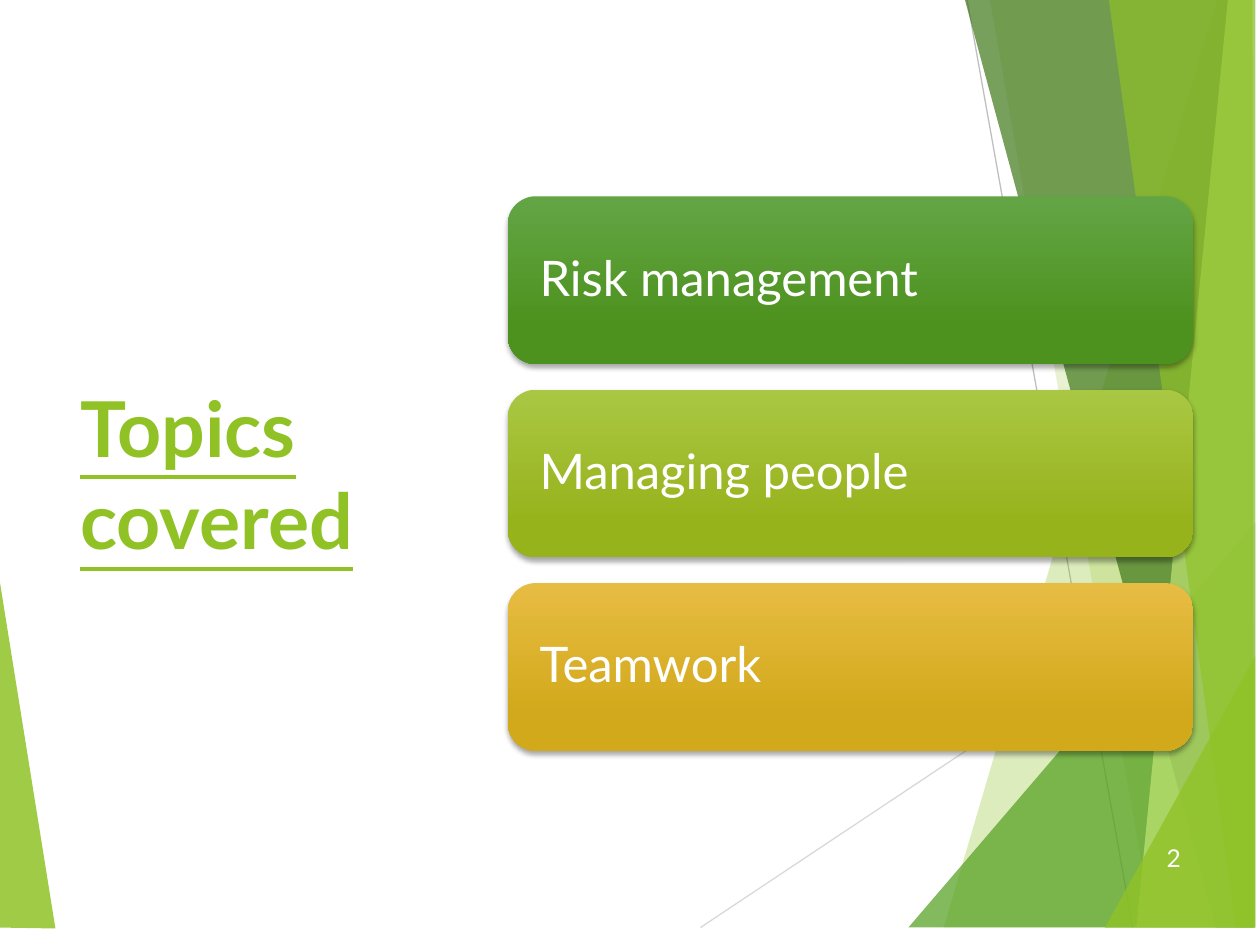
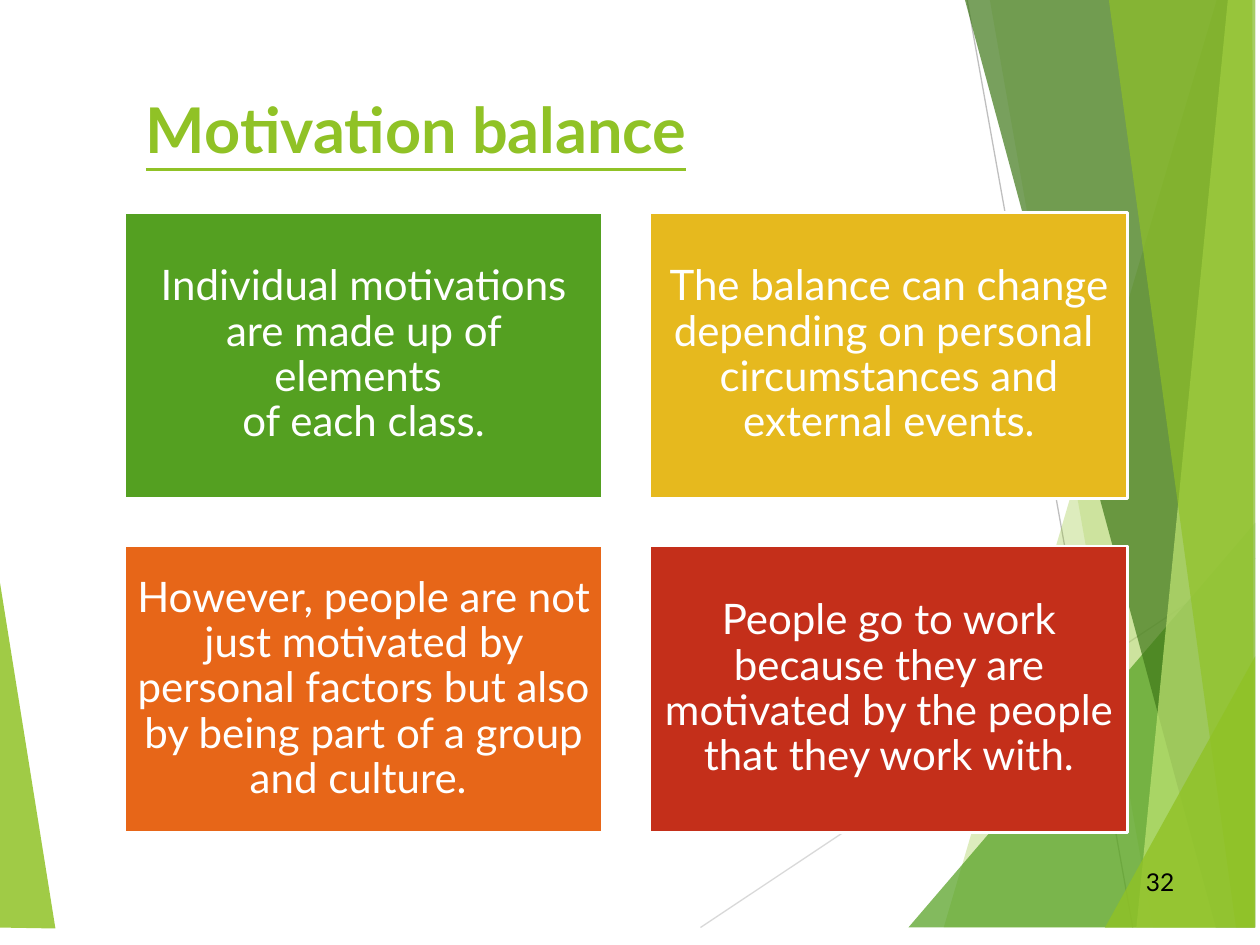
"""Build two slides on managing people: the topics covered and the motivation balance."""
from dataclasses import dataclass

from lxml import etree
from pptx import Presentation, util as u
from pptx.dml.color import RGBColor
from pptx.enum import shapes, text
from pptx.oxml import ns


@dataclass(frozen=True)
class Theme:
    font: str = "Lato"
    lime: str = "90C226"
    green: str = "54A021"
    forest: str = "3F7819"
    pale: str = "C0E474"
    gold: str = "E6B91E"
    orange: str = "E76618"
    red: str = "C42F1A"
    white: str = "FFFFFF"
    black: str = "000000"
    light_ray: str = "D9D9D9"
    dark_ray: str = "BFBFBF"
    topic_gradients: tuple = (("63A545", "4D921E"), ("AAC744", "97B31C"), ("E7BC43", "D2A91B"))
    cover_title_size: int = 44
    title_size: int = 36
    topic_size: int = 28
    card_size: int = 24
    number_size: int = 14


THEME = Theme()
TOP, BOTTOM, RIGHT = -10.5, 530, 717.2

LEFT_FACET = (THEME.lime, 85, [(-4.3, 306), (31.7, 530.6), (-4.3, BOTTOM)])
RAYS = [
    (THEME.light_ray, (400.3, BOTTOM), (RIGHT, 319)),
    (THEME.dark_ray, (550.8, TOP), (647.3, BOTTOM)),
]
RIGHT_FACETS = [
    (THEME.lime, 30, [(698.4, TOP), (539.3, BOTTOM), (RIGHT, BOTTOM), (RIGHT, TOP)]),
    (THEME.lime, 20, [(563.8, TOP), (658.8, BOTTOM), (RIGHT, BOTTOM), (RIGHT, TOP)]),
    (THEME.green, 72, [(519.1, BOTTOM), (RIGHT, 298.8), (RIGHT, BOTTOM)]),
    (THEME.forest, 70, [(548.6, TOP), (694.8, BOTTOM), (RIGHT, BOTTOM), (RIGHT, TOP)]),
    (THEME.pale, 70, [(702.7, TOP), (649.4, BOTTOM), (RIGHT, BOTTOM), (RIGHT, TOP)]),
    (THEME.lime, 65, [(632.2, TOP), (706.3, BOTTOM), (716.4, BOTTOM), (715.7, TOP)]),
    (THEME.lime, 80, [(631.4, BOTTOM), (RIGHT, 375.1), (RIGHT, BOTTOM)]),
]
TOPICS = ["Risk management", "Managing people", "Teamwork"]
MOTIVATIONS = [
    (THEME.green, "Individual motivations are made up of elements \vof each class."),
    (THEME.gold, "The balance can change depending on personal \vcircumstances and external events."),
    (THEME.orange, "However, people are not just motivated by personal factors "
                   "but also by being part of a group and culture. "),
    (THEME.red, "People go to work because they are motivated by the people that they work with."),
]


def rgb(code):
    """Turn a hex code into a colour."""
    return RGBColor.from_string(code)


def points(*lengths):
    """Turn numbers into lengths in points."""
    return [u.Pt(length) for length in lengths]


def add_facet(slide, color, opacity, corners):
    """Draw one translucent polygon of the backdrop."""
    start, *others = [points(*corner) for corner in corners]
    builder = slide.shapes.build_freeform(*start)
    builder.add_line_segments(others, close=True)
    facet = builder.convert_to_shape()
    facet.shadow.inherit = False
    facet.fill.solid()
    facet.fill.fore_color.rgb = rgb(color)
    facet.line.fill.background()
    tint = facet._element.spPr.find(".//" + ns.qn("a:srgbClr"))
    etree.SubElement(tint, ns.qn("a:alpha"), val=str(opacity * 1000))


def add_ray(slide, color, start, end):
    """Draw one thin line of the backdrop."""
    ray = slide.shapes.add_connector(
        shapes.MSO_CONNECTOR.STRAIGHT, *points(*start), *points(*end))
    ray.line.color.rgb = rgb(color)
    ray.line.width = u.Pt(0.75)
    etree.SubElement(ray._element.spPr, ns.qn("a:effectLst"))


def add_backdrop(slide):
    """Draw the facets and rays that every slide shares."""
    add_facet(slide, *LEFT_FACET)
    for ray in RAYS:
        add_ray(slide, *ray)
    for facet in RIGHT_FACETS:
        add_facet(slide, *facet)


def write(shape, words, size, color=THEME.white, align=text.PP_ALIGN.LEFT,
          anchor=text.MSO_ANCHOR.MIDDLE, insets=(7.2, 3.6), spacing=1.0, heading=False):
    """Put wrapped, formatted words into a shape."""
    frame = shape.text_frame
    frame.word_wrap = True
    frame.vertical_anchor = anchor
    frame.margin_left = frame.margin_right = u.Pt(insets[0])
    frame.margin_top = frame.margin_bottom = u.Pt(insets[1])
    paragraph = frame.paragraphs[0]
    paragraph.text = words
    paragraph.alignment = align
    paragraph.line_spacing = spacing
    for run in paragraph.runs:
        run.font.name = THEME.font
        run.font.size = u.Pt(size)
        run.font.color.rgb = rgb(color)
        run.font.bold = run.font.underline = heading


def add_title(slide, words, box, size, anchor):
    """Add the underlined lime title."""
    title = slide.shapes.add_textbox(*points(*box))
    write(title, words, size, THEME.lime, anchor=anchor, heading=True)


def add_number(slide, number, left, top, color):
    """Add the slide number at the lower right."""
    label = slide.shapes.add_textbox(*points(left, top, 40.3, 28.8))
    write(label, number, THEME.number_size, color, text.PP_ALIGN.RIGHT)


def add_topic(slide, words, box, gradient):
    """Add a rounded gradient bar with a soft shadow."""
    bar = slide.shapes.add_shape(shapes.MSO_SHAPE.ROUNDED_RECTANGLE, *points(*box))
    bar.fill.gradient()
    bar.fill.gradient_angle = 270
    for stop, color, position in zip(bar.fill.gradient_stops, gradient, (0, 0.78)):
        stop.color.rgb = rgb(color)
        stop.position = position
    bar.line.fill.background()
    bar.shadow.inherit = False
    effects = bar._element.spPr.find(ns.qn("a:effectLst"))
    shadow = etree.SubElement(effects, ns.qn("a:outerShdw"), blurRad=str(u.Pt(3)),
                              dist=str(u.Pt(2)), dir="5400000", rotWithShape="0")
    shade = etree.SubElement(shadow, ns.qn("a:srgbClr"), val=THEME.black)
    etree.SubElement(shade, ns.qn("a:alpha"), val="35000")
    write(bar, words, THEME.topic_size, insets=(13.5, 13.5), spacing=0.9)


def add_card(slide, words, box, color):
    """Add a flat card with centred words."""
    card = slide.shapes.add_shape(shapes.MSO_SHAPE.RECTANGLE, *points(*box))
    card.shadow.inherit = False
    card.fill.solid()
    card.fill.fore_color.rgb = rgb(color)
    card.line.color.rgb = rgb(THEME.white)
    card.line.width = u.Pt(1.5)
    write(card, words, THEME.card_size, align=text.PP_ALIGN.CENTER,
          insets=(7.2, 7.2), spacing=0.9)


def add_slide(deck):
    """Add a blank slide with the shared backdrop."""
    slide = deck.slides.add_slide(deck.slide_layouts[6])
    add_backdrop(slide)
    return slide


def build_topics(deck):
    """Build the slide that lists the topics."""
    slide = add_slide(deck)
    add_title(slide, "Topics covered", (38.9, 108.7, 209.5, 322.6),
              THEME.cover_title_size, text.MSO_ANCHOR.MIDDLE)
    add_number(slide, "2", 641.5, 475.9, THEME.white)
    for row, (topic, gradient) in enumerate(zip(TOPICS, THEME.topic_gradients)):
        add_topic(slide, topic, (290.2, 112.2 + row * 110.5, 391.7, 95.8), gradient)


def build_motivation(deck):
    """Build the slide with the two-by-two grid of cards."""
    slide = add_slide(deck)
    add_title(slide, "Motivation balance", (76.3, 48.2, 601.9, 86.4),
              THEME.title_size, text.MSO_ANCHOR.TOP)
    add_number(slide, "32", 637.9, 489.6, THEME.black)
    for index, (color, words) in enumerate(MOTIVATIONS):
        row, column = divmod(index, 2)
        add_card(slide, words, (71.3 + column * 300.2, 121.3 + row * 190.8, 272.9, 163.5), color)


def main():
    """Build and save the deck."""
    deck = Presentation()
    deck.slide_width, deck.slide_height = points(720, 540)
    build_topics(deck)
    build_motivation(deck)
    deck.save("out.pptx")


if __name__ == "__main__":
    main()
